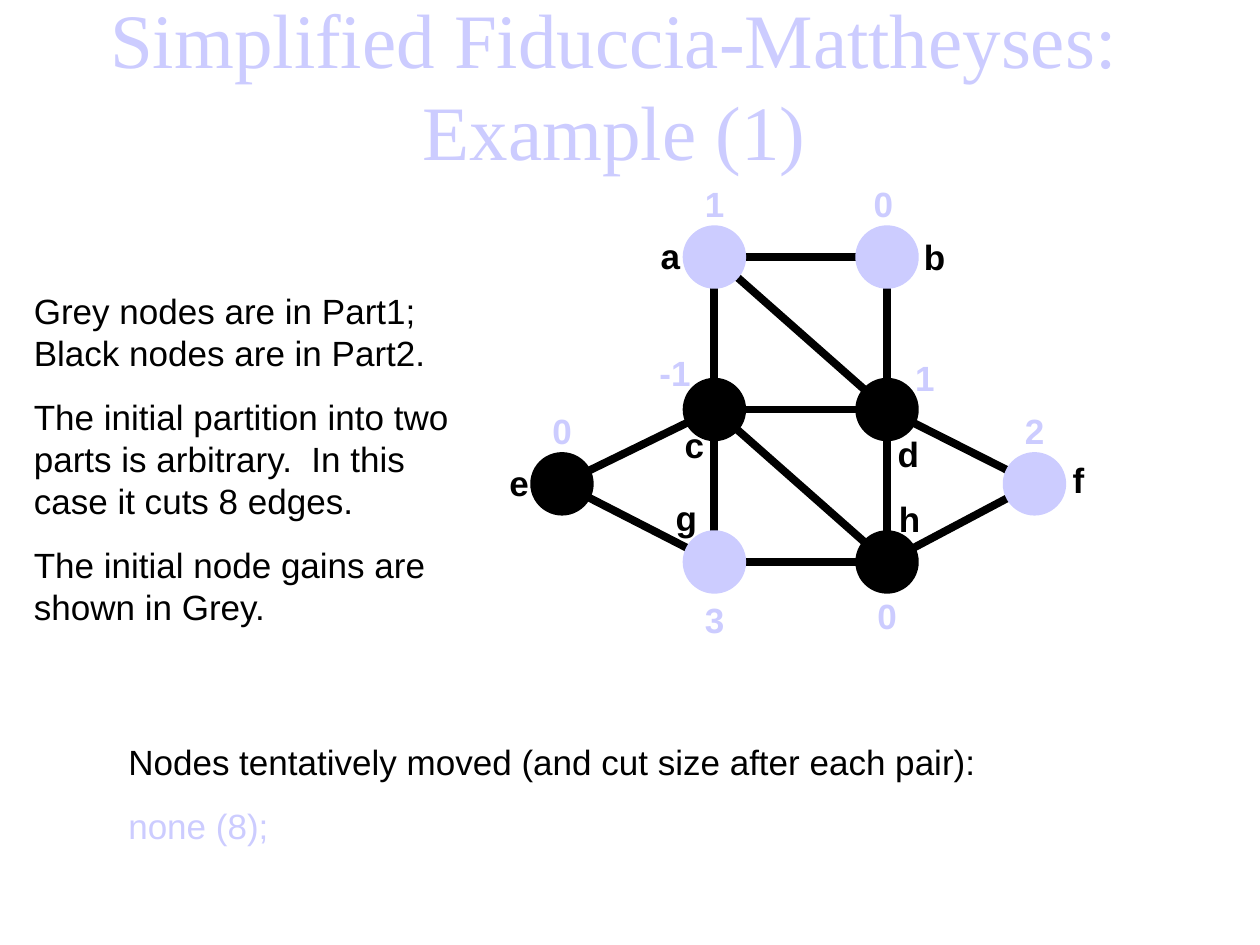
"""Build the Fiduccia-Mattheyses example slide: a partitioned graph with node gains."""
from math import hypot

from lxml.etree import SubElement
from pptx import Presentation
from pptx.dml.color import RGBColor
from pptx.enum.shapes import MSO_CONNECTOR, MSO_SHAPE
from pptx.enum.text import MSO_ANCHOR, MSO_AUTO_SIZE, PP_ALIGN
from pptx.oxml.ns import qn
from pptx.util import Inches, Pt

BLACK, GREY = "000000", "CCCCFF"
TITLE = "Simplified Fiduccia-Mattheyses: Example (1)"
NOTES = [
    ("Grey nodes are in Part1; Black nodes are in Part2.", BLACK),
    ("The initial partition into two parts is arbitrary.  In this case it cuts 8 edges.", BLACK),
    ("The initial node gains are shown in Grey.", BLACK),
]
MOVES = [
    ("Nodes tentatively moved (and cut size after each pair):", BLACK),
    ("none (8);", GREY),
]
COLS = [4.46, 5.67, 7.04, 8.21]
ROWS = [2.04, 3.25, 3.84, 4.46]
# name: column, row, colour, name offset, gain, gain offset
NODES = {
    "a": (1, 0, GREY, (-0.35, -0.01), "1", (0, -0.42)),
    "b": (2, 0, GREY, (0.38, 0), "0", (-0.03, -0.42)),
    "c": (1, 1, BLACK, (-0.16, 0.28), "-1", (-0.31, -0.29)),
    "d": (2, 1, BLACK, (0.17, 0.35), "1", (0.3, -0.25)),
    "e": (0, 2, BLACK, (-0.34, -0.01), "0", (0, -0.42)),
    "f": (3, 2, GREY, (0.35, -0.03), "2", (0, -0.42)),
    "g": (1, 3, GREY, (-0.22, -0.35), "3", (0, 0.46)),
    "h": (2, 3, BLACK, (0.18, -0.34), "0", (0, 0.43)),
}
EDGES = "ab ac ad bd cd ce cg ch df dh eg fh gh".split()
RADIUS = 0.21
WIDE = {"-1": 0.45, "f": 0.29, "b": 0.37, "d": 0.37, "g": 0.37, "h": 0.37}

deck = Presentation()
deck.slide_width, deck.slide_height = Inches(10), Inches(7.5)
slide = deck.slides.add_slide(deck.slide_layouts[6])
shapes = slide.shapes


def paint(color, code):
    """Set a colour from its hex string."""
    color.rgb = RGBColor.from_string(code)


def write(box, lines, wrap=True, fit=MSO_AUTO_SIZE.SHAPE_TO_FIT_TEXT,
          anchor=MSO_ANCHOR.TOP, align=PP_ALIGN.LEFT, **font):
    """Add a text box with one paragraph per (text, colour) line."""
    frame = shapes.add_textbox(*map(Inches, box)).text_frame
    style = {"word_wrap": wrap, "auto_size": fit, "vertical_anchor": anchor}
    for key, value in style.items():
        setattr(frame, key, value)
    for i, (text, code) in enumerate(lines):
        para = frame.add_paragraph() if i else frame.paragraphs[0]
        para.alignment = align
        if i:
            para.space_before = Pt(12.5)
        run = para.add_run()
        run.text = text
        for key, value in {"name": "Arial", "size": Pt(20), **font}.items():
            setattr(run.font, key, value)
        paint(run.font.color, code)


def center(name):
    """Return the centre of a node."""
    col, row = NODES[name][:2]
    return COLS[col], ROWS[row]


def join(start, end):
    """Draw an edge between the rims of two nodes."""
    (x1, y1), (x2, y2) = center(start), center(end)
    share = RADIUS / hypot(x2 - x1, y2 - y1)
    dx, dy = (x2 - x1) * share, (y2 - y1) * share
    ends = x1 + dx, y1 + dy, x2 - dx, y2 - dy
    edge = shapes.add_connector(MSO_CONNECTOR.STRAIGHT, *map(Inches, ends))
    edge.line.width = Pt(4.5)
    paint(edge.line.color, BLACK)
    SubElement(edge._element.spPr, qn("a:effectLst"))


def dot(name, code):
    """Draw a node as a filled circle."""
    x, y = center(name)
    box = x - RADIUS, y - RADIUS, 2 * RADIUS, 2 * RADIUS
    node = shapes.add_shape(MSO_SHAPE.OVAL, *map(Inches, box))
    node.shadow.inherit = False
    node.fill.solid()
    paint(node.fill.fore_color, code)
    paint(node.line.color, code)
    node.line.width = Pt(6)


def label(name, text, shift, code):
    """Write a bold label at an offset from a node's centre."""
    x, y = center(name)
    width, height = WIDE.get(text, 0.35), 0.44
    box = x + shift[0] - width / 2, y + shift[1] - height / 2, width, height
    write(box, [(text, code)], wrap=False, bold=True)


write((0.25, 0.33, 9.25, 0.67), [(TITLE, GREY)], fit=MSO_AUTO_SIZE.NONE,
      anchor=MSO_ANCHOR.MIDDLE, align=PP_ALIGN.CENTER,
      name="Times New Roman", size=Pt(44))
for start, end in EDGES:
    join(start, end)
for name, (_, _, code, _, _, _) in NODES.items():
    dot(name, code)
for name, (_, _, _, shift, gain, lift) in NODES.items():
    label(name, name, shift, BLACK)
    label(name, gain, lift, GREY)
write((0.17, 2.25, 3.58, 2.78), NOTES)
write((0.92, 5.83, 7.17, 0.94), MOVES)
deck.save("out.pptx")
